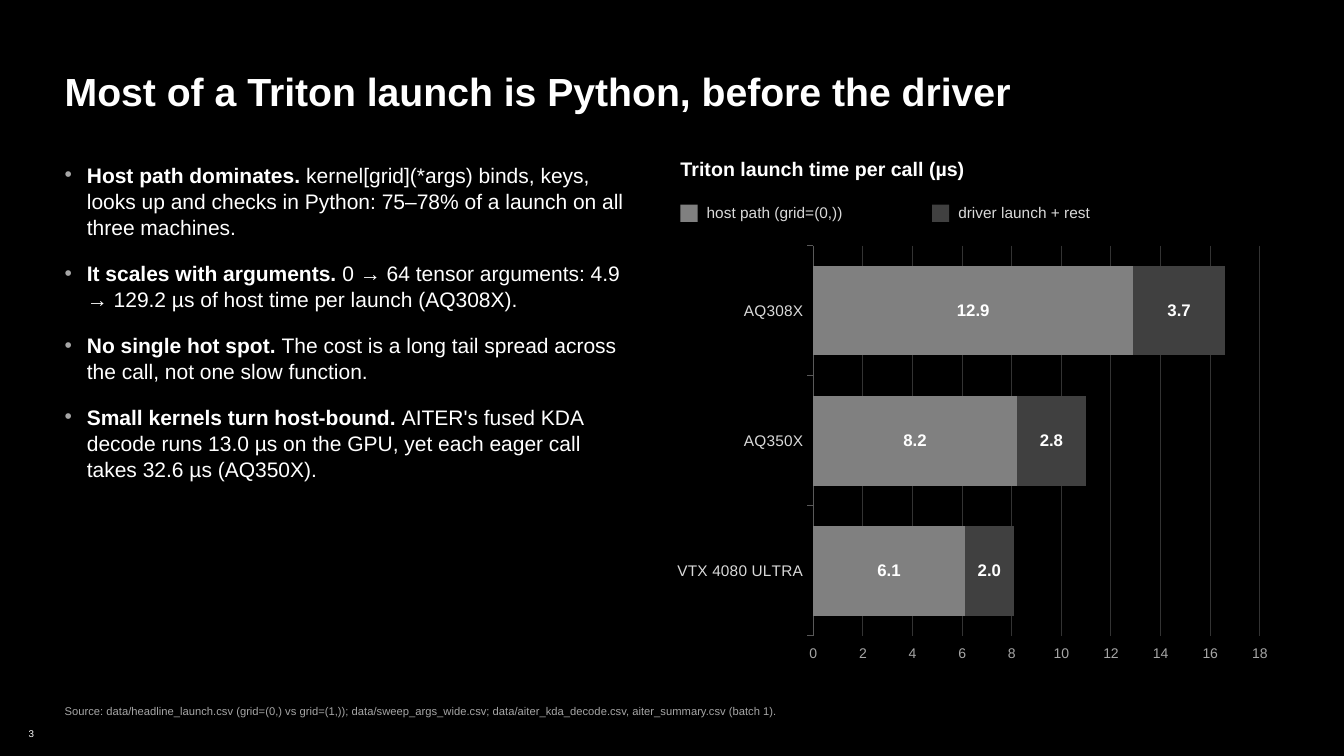
from lxml import etree
from pptx import Presentation
from pptx.chart.data import CategoryChartData
from pptx.dml.color import RGBColor
from pptx.enum.chart import XL_CHART_TYPE as ChartType, XL_LABEL_POSITION as LabelPosition
from pptx.enum.chart import XL_TICK_MARK as TickMark
from pptx.enum.shapes import MSO_SHAPE as Shape
from pptx.enum.text import MSO_ANCHOR as Anchor, PP_ALIGN as Align
from pptx.oxml.ns import qn
from pptx.util import Cm, Pt

BLACK = RGBColor(0x00, 0x00, 0x00)
WHITE = RGBColor(0xFF, 0xFF, 0xFF)
LIGHT = RGBColor(0xD9, 0xD9, 0xD9)
MUTED = RGBColor(0xA6, 0xA6, 0xA6)
HOST = RGBColor(0x80, 0x80, 0x80)
DRIVER = RGBColor(0x40, 0x40, 0x40)
AXIS = RGBColor(0x59, 0x59, 0x59)
GRID = RGBColor(0x33, 0x33, 0x33)
FONT = "Arial"


def set_font(font, size, color, bold=False):
    font.name = FONT
    font.size = Pt(size)
    font.bold = bold
    font.color.rgb = color


def write(box, *paragraphs, size, color=WHITE, bold=False, anchor=Anchor.TOP,
          align=Align.LEFT, bullet=False, gap=0, wrap=True):
    """Fill a box; a paragraph is a string or a (bold lead, rest) pair."""
    frame = box.text_frame
    frame.word_wrap = wrap
    frame.vertical_anchor = anchor
    frame.margin_left = frame.margin_right = frame.margin_top = frame.margin_bottom = 0
    for index, content in enumerate(paragraphs):
        para = frame.add_paragraph() if index else frame.paragraphs[0]
        para.alignment = align
        para.line_spacing = 1.04
        if index < len(paragraphs) - 1:
            para.space_after = Pt(gap)
        if bullet:
            props = para._p.get_or_add_pPr()
            props.set("marL", str(Cm(0.56)))
            props.set("indent", str(-Cm(0.56)))
            bullet_color = etree.SubElement(props, qn("a:buClr"))
            etree.SubElement(bullet_color, qn("a:srgbClr"), val=str(MUTED))
            etree.SubElement(props, qn("a:buFont"), typeface=FONT)
            etree.SubElement(props, qn("a:buChar"), char="•")
        spans = [(content, bold)] if isinstance(content, str) else zip(content, (True, False))
        for text, is_bold in spans:
            span = para.add_run()
            span.text = text
            set_font(span.font, size, color, is_bold)


deck = Presentation()
deck.slide_width, deck.slide_height = Cm(33.87), Cm(19.05)
page = deck.slides.add_slide(deck.slide_layouts[5])
page.background.fill.solid()
page.background.fill.fore_color.rgb = BLACK
shapes = page.shapes

# Title
title = shapes.title
title.left, title.top, title.width, title.height = Cm(1.63), Cm(1.65), Cm(30.61), Cm(1.19)
write(title, "Most of a Triton launch is Python, before the driver", size=28, bold=True)

# Findings
findings = shapes.add_textbox(Cm(1.63), Cm(4.06), Cm(14.22), Cm(12.45))
write(
    findings,
    ("Host path dominates. ", "kernel[grid](*args) binds, keys, looks up and checks in Python: "
     "75–78% of a launch on all three machines."),
    ("It scales with arguments. ", "0 → 64 tensor arguments: 4.9 → 129.2 µs of host time "
     "per launch (AQ308X)."),
    ("No single hot spot. ", "The cost is a long tail spread across the call, "
     "not one slow function."),
    ("Small kernels turn host-bound. ", "AITER's fused KDA decode runs 13.0 µs on the GPU, "
     "yet each eager call takes 32.6 µs (AQ350X)."),
    size=15, bullet=True, gap=14)

# Chart heading and legend
heading = shapes.add_textbox(Cm(17.15), Cm(3.94), Cm(14.99), Cm(0.89))
write(heading, "Triton launch time per call (µs)", size=14, bold=True)

series_styles = [("host path (grid=(0,))", HOST, (6.1, 8.2, 12.9)),
                 ("driver launch + rest", DRIVER, (2.0, 2.8, 3.7))]
for index, (name, color, _) in enumerate(series_styles):
    left = 17.15 + index * 6.34
    swatch = shapes.add_shape(Shape.RECTANGLE, Cm(left), Cm(5.16), Cm(0.43), Cm(0.43))
    swatch.shadow.inherit = False
    swatch.fill.solid()
    swatch.fill.fore_color.rgb = color
    swatch.line.fill.background()
    label = shapes.add_textbox(Cm(left + 0.66), Cm(4.95), Cm(5.1), Cm(0.81))
    write(label, name, size=11, color=LIGHT, anchor=Anchor.MIDDLE)

# Stacked bar chart
data = CategoryChartData(number_format="0.0")
data.categories = ["VTX 4080 ULTRA", "AQ350X", "AQ308X"]
for name, _, values in series_styles:
    data.add_series(name, values)
chart = shapes.add_chart(ChartType.BAR_STACKED, Cm(16.76), Cm(5.97),
                         Cm(15.49), Cm(10.92), data).chart
chart.has_legend = False
chart.has_title = False
set_font(chart.font, 11, LIGHT)

plot = chart.plots[0]
plot.gap_width = 45
plot.overlap = 100
plot.vary_by_categories = False
for series, (_, color, _) in zip(plot.series, series_styles):
    series.format.fill.solid()
    series.format.fill.fore_color.rgb = color
    labels = series.data_labels
    labels.show_value = True
    labels.position = LabelPosition.CENTER
    labels.number_format = "0.0"
    labels.number_format_is_linked = False
    set_font(labels.font, 12, WHITE, bold=True)

machines = chart.category_axis
machines.major_tick_mark = TickMark.OUTSIDE
machines.format.line.color.rgb = AXIS
machines.format.line.width = Pt(0.75)
set_font(machines.tick_labels.font, 11, LIGHT)

times = chart.value_axis
times.minimum_scale, times.maximum_scale, times.major_unit = 0, 18, 2
times.major_tick_mark = TickMark.OUTSIDE
times.format.line.fill.background()
times.has_major_gridlines = True
times.major_gridlines.format.line.color.rgb = GRID
times.major_gridlines.format.line.width = Pt(0.75)
times.tick_labels.number_format = "0"
times.tick_labels.number_format_is_linked = False
set_font(times.tick_labels.font, 10, MUTED)

# Source line and page number
source = shapes.add_textbox(Cm(1.63), Cm(17.6), Cm(27.69), Cm(0.64))
write(source, "Source: data/headline_launch.csv (grid=(0,) vs grid=(1,)); data/sweep_args_wide.csv; "
      "data/aiter_kda_decode.csv, aiter_summary.csv (batch 1).",
      size=8, color=MUTED, anchor=Anchor.MIDDLE)
number = shapes.add_textbox(Cm(0.53), Cm(18.21), Cm(0.33), Cm(0.53))
write(number, "3", size=7, anchor=Anchor.MIDDLE, align=Align.RIGHT, wrap=False)

deck.save("out.pptx")
